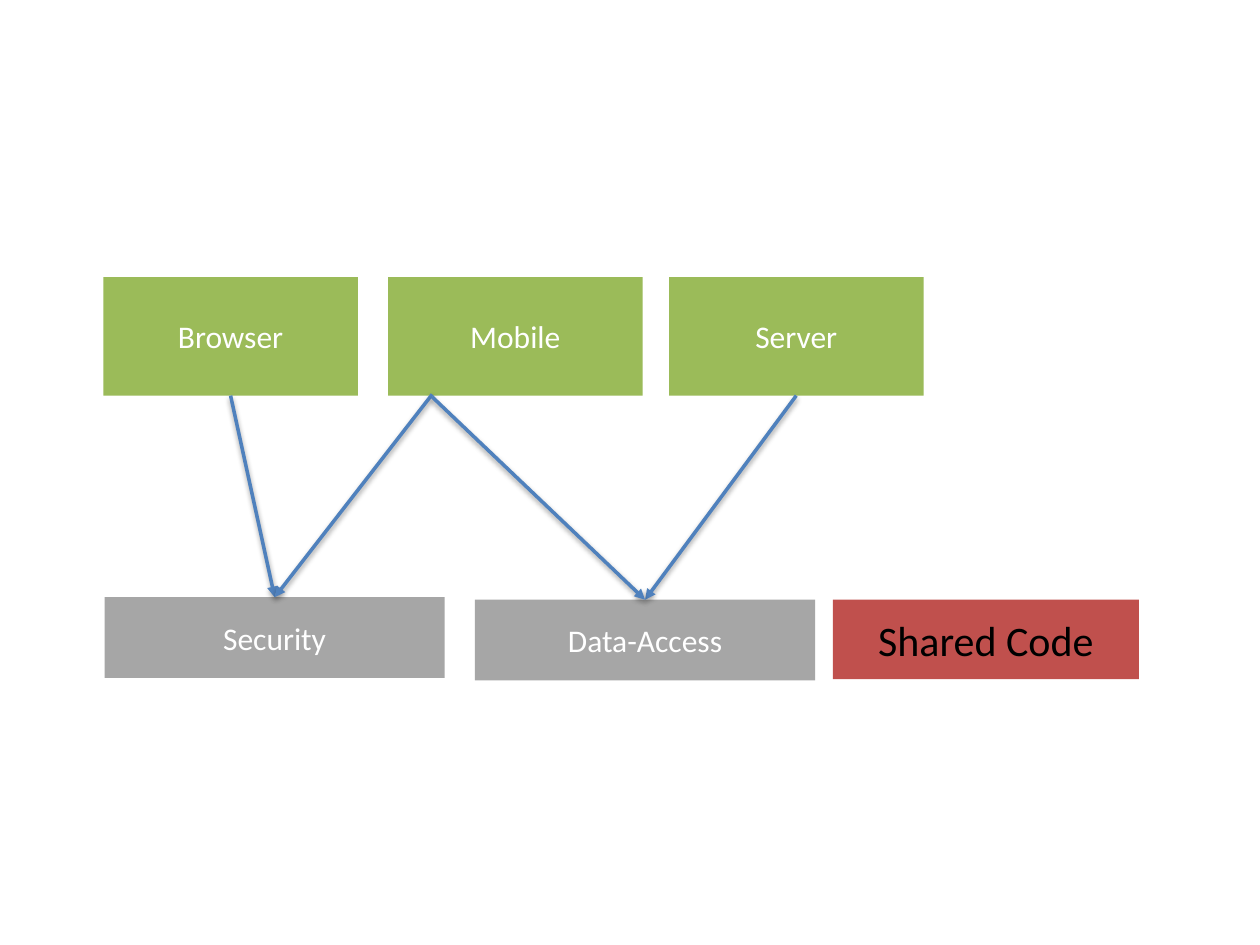
"""Build a slide of three platforms pointing at the code they share."""
from dataclasses import dataclass
from typing import Any, Optional

from lxml.etree import SubElement
from pptx import Presentation
from pptx.dml.color import RGBColor as Rgb
from pptx.enum.shapes import MSO_CONNECTOR as Connector, MSO_SHAPE as Shape
from pptx.enum.text import MSO_ANCHOR as Anchor, PP_ALIGN as Align
from pptx.oxml.ns import qn
from pptx.util import Inches, Pt

BOTTOM, TOP = 2, 0


@dataclass(frozen=True)
class Theme:
    platform: Rgb = Rgb(0x9B, 0xBB, 0x59)
    module: Rgb = Rgb(0xA6, 0xA6, 0xA6)
    shared: Rgb = Rgb(0xC0, 0x50, 0x4D)
    arrow: Rgb = Rgb(0x4F, 0x81, 0xBD)
    light: Rgb = Rgb(0xFF, 0xFF, 0xFF)
    dark: Rgb = Rgb(0, 0, 0)
    font: str = "Calibri"
    body: Pt = Pt(18)
    large: Pt = Pt(24)
    stroke: Pt = Pt(2)


THEME = Theme()


@dataclass(frozen=True)
class Box:
    label: str
    left: float
    top: float
    width: float
    height: float
    fill: Rgb
    color: Rgb = THEME.light
    size: Pt = THEME.body


@dataclass(frozen=True)
class Dependency:
    platform: str
    module: str
    start: Optional[tuple[float, float]] = None


PLATFORMS = [Box(label, left, 2.2, 2.02, 0.94, THEME.platform)
             for label, left in (("Browser", 0.82), ("Mobile", 3.08), ("Server", 5.31))]
MODULES = [Box(label, left, top, 2.7, 0.64, THEME.module)
           for label, left, top in (("Security", 0.83, 4.74), ("Data-Access", 3.77, 4.76))]
SHARED = Box("Shared Code", 6.61, 4.76, 2.43, 0.63, THEME.shared, THEME.dark, THEME.large)
DEPENDENCIES = [
    Dependency("Browser", "Security"),
    Dependency("Mobile", "Security", (3.43, 3.13)),
    Dependency("Server", "Data-Access"),
    Dependency("Mobile", "Data-Access", (3.43, 3.15)),
]


def apply_format(target: Any, values: dict[str, Any]) -> None:
    for attribute, value in values.items():
        setattr(target, attribute, value)


def draw_box(slide: Any, box: Box) -> Any:
    rect = slide.shapes.add_shape(
        Shape.RECTANGLE, *map(Inches, (box.left, box.top, box.width, box.height)))
    rect.shadow.inherit = False
    rect.fill.solid()
    rect.fill.fore_color.rgb = box.fill
    rect.line.fill.background()
    frame = rect.text_frame
    apply_format(frame, {"word_wrap": True, "vertical_anchor": Anchor.MIDDLE})
    paragraph = frame.paragraphs[0]
    paragraph.alignment = Align.CENTER
    run = paragraph.add_run()
    run.text = box.label
    apply_format(run.font, {"name": THEME.font, "size": box.size})
    run.font.color.rgb = box.color
    return rect


def add_arrowhead_and_shadow(arrow: Any) -> None:
    properties = arrow.element.spPr
    SubElement(properties.find(qn("a:ln")), qn("a:tailEnd"), type="triangle")
    effects = SubElement(properties, qn("a:effectLst"))
    shadow = SubElement(effects, qn("a:outerShdw"), blurRad="40000", dist="20000",
                        dir="5400000", rotWithShape="0")
    black = SubElement(shadow, qn("a:srgbClr"), val="000000")
    SubElement(black, qn("a:alpha"), val="38000")


def draw_dependency(slide: Any, dependency: Dependency, boxes: dict[str, Any]) -> None:
    x, y = map(Inches, dependency.start or (0, 0))
    arrow = slide.shapes.add_connector(Connector.STRAIGHT, x, y, x, y)
    if dependency.start is None:
        arrow.begin_connect(boxes[dependency.platform], BOTTOM)
    arrow.end_connect(boxes[dependency.module], TOP)
    arrow.line.color.rgb = THEME.arrow
    arrow.line.width = THEME.stroke
    add_arrowhead_and_shadow(arrow)


def main() -> None:
    deck = Presentation()
    apply_format(deck, {"slide_width": Inches(10), "slide_height": Inches(7.5)})
    slide = deck.slides.add_slide(deck.slide_layouts[6])
    boxes = {box.label: draw_box(slide, box) for box in PLATFORMS + MODULES}
    for dependency in DEPENDENCIES:
        draw_dependency(slide, dependency, boxes)
    draw_box(slide, SHARED)
    deck.save("out.pptx")


if __name__ == "__main__":
    main()
